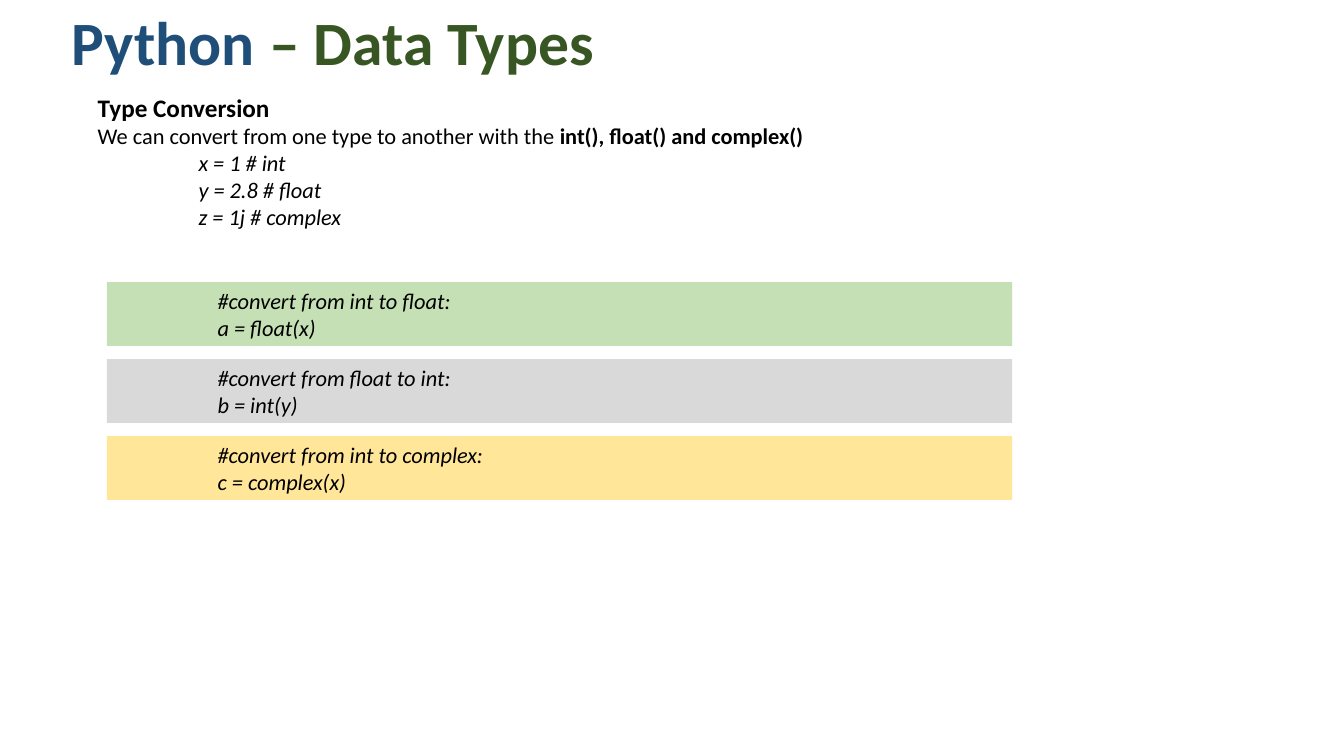
"""Build the slide on Python type conversion."""
from pptx import Presentation
from pptx import util as u
from pptx.dml import color
from pptx.enum import shapes, text

Pt = u.Pt
rgb = color.RGBColor.from_string


def write(frame, words, size=16, ink="000000", bold=False, italic=False,
          indent=0, spacing=1.0, inline=False):
    if inline or not frame.text:
        line = frame.paragraphs[-1]
    else:
        line = frame.add_paragraph()
    if not inline:
        props = line._p.get_or_add_pPr()
        props.set("marL", str(Pt(indent)))
        props.set("indent", "0")
        if props.find("{*}buNone") is None:
            props.append(props.makeelement(
                "{http://schemas.openxmlformats.org/drawingml/2006/main}buNone", {}))
        line.alignment = text.PP_ALIGN.LEFT
        line.space_before = Pt(0)
        line.line_spacing = spacing
    run = line.add_run()
    run.text = words
    run.font.name = "Calibri"
    run.font.size = Pt(size)
    run.font.bold = bold
    run.font.italic = italic
    run.font.color.rgb = rgb(ink)


deck = Presentation()
deck.slide_width, deck.slide_height = Pt(960), Pt(540)
slide = deck.slides.add_slide(deck.slide_layouts[1])

heading = slide.shapes.title
heading.left, heading.top, heading.width, heading.height = Pt(44), Pt(8), Pt(906), Pt(49)
heading.text_frame.auto_size = text.MSO_AUTO_SIZE.NONE
heading.text_frame.vertical_anchor = text.MSO_ANCHOR.MIDDLE
write(heading.text_frame, "Python", size=44, ink="1F4E79", bold=True, spacing=0.9)
write(heading.text_frame, " – Data Types", size=44, ink="385623", bold=True, inline=True)

intro = slide.placeholders[1]
intro.left, intro.top, intro.width, intro.height = Pt(62.6), Pt(62), Pt(646.6), Pt(143)
intro.text_frame.auto_size = text.MSO_AUTO_SIZE.NONE
intro.text_frame.vertical_anchor = text.MSO_ANCHOR.TOP
write(intro.text_frame, "Type Conversion", size=18, bold=True)
write(intro.text_frame, "We can convert from one type to another with the")
write(intro.text_frame, " int(), float() and complex()", bold=True, inline=True)
for assignment in ("x = 1 # int", "y = 2.8 # float", "z = 1j # complex"):
    write(intro.text_frame, assignment, italic=True, indent=72)

conversions = [
    ("C5E0B4", "#convert from int to float:", "a = float(x)"),
    ("D9D9D9", "#convert from float to int:", "b = int(y)"),
    ("FFE699", "#convert from int to complex:", "c = complex(x)"),
]
for row, (tint, remark, call) in enumerate(conversions):
    band = slide.shapes.add_shape(
        shapes.MSO_SHAPE.RECTANGLE, Pt(76.3), Pt(201.5 + 55 * row), Pt(646.6), Pt(45.6))
    band.shadow.inherit = False
    band.fill.solid()
    band.fill.fore_color.rgb = rgb(tint)
    band.line.fill.background()
    band.text_frame.word_wrap = True
    band.text_frame.vertical_anchor = text.MSO_ANCHOR.TOP
    for code in (remark, call):
        write(band.text_frame, code, italic=True, indent=72)

deck.save("out.pptx")
